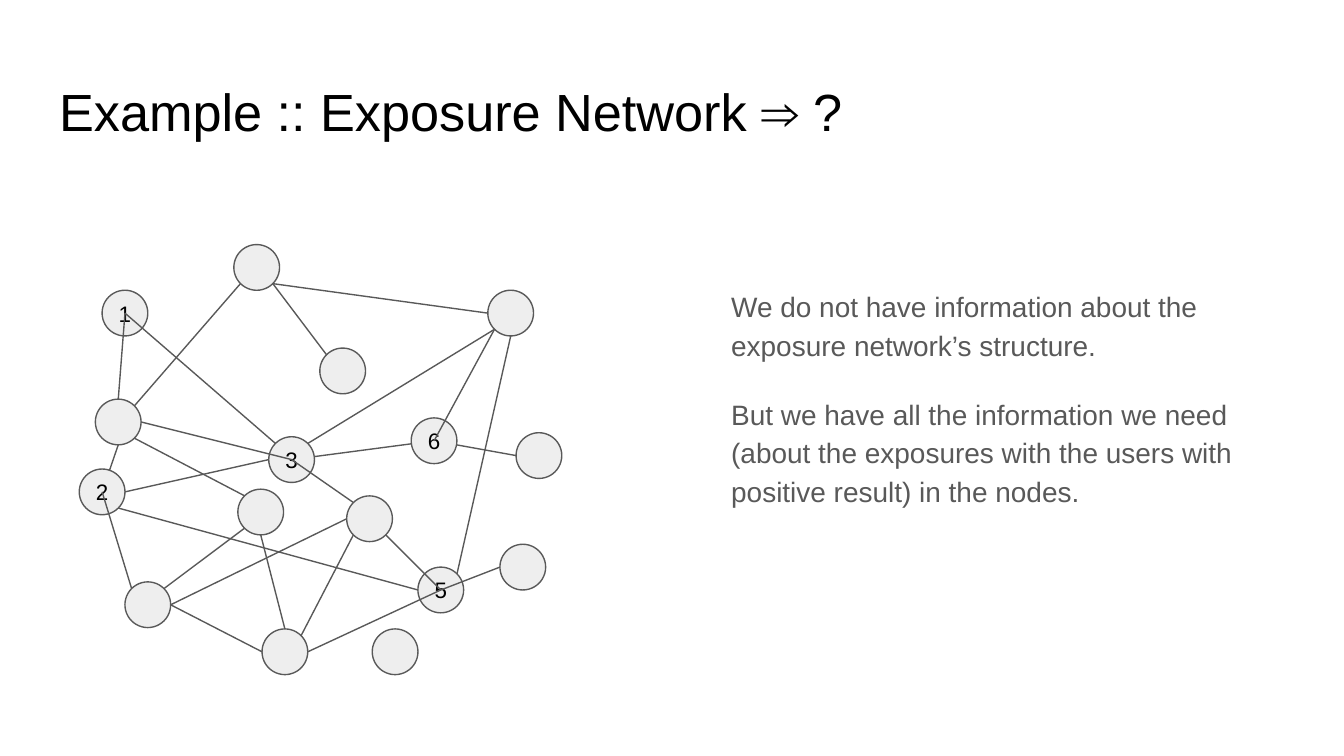
from dataclasses import dataclass
from lxml.etree import SubElement
from pptx import Presentation
from pptx.dml.color import RGBColor
from pptx.enum.shapes import MSO_CONNECTOR, MSO_SHAPE
from pptx.enum.text import MSO_ANCHOR, MSO_AUTO_SIZE, PP_ALIGN
from pptx.oxml.ns import qn
from pptx.util import Inches, Pt


@dataclass(frozen=True)
class Theme:
    font: str = "Arial"
    ink: str = "000000"
    gray: str = "595959"
    node: str = "EEEEEE"
    title: int = 28
    body: int = 15
    label: int = 12
    line: float = 0.75


TITLE = "Example :: Exposure Network ⇒ ?"
BODY = [
    "We do not have information about the exposure network’s structure.",
    "But we have all the information we need (about the exposures with the users "
    "with positive result) in the nodes.",
]
NODES = {
    "1": (0.93, 2.33), "2": (0.76, 3.66), "3": (2.17, 3.42),
    "northeast": (3.80, 2.33), "5": (3.28, 4.39), "6": (3.23, 3.28),
    "core": (2.75, 3.86), "west": (0.88, 3.14), "southwest": (1.10, 4.50),
    "upper": (2.55, 2.76), "north": (1.91, 1.99), "south": (2.12, 4.85),
    "middle": (1.94, 3.81), "southeast": (3.89, 4.22), "east": (4.01, 3.39),
    "alone": (2.94, 4.85),
}
BACK_EDGES = [
    ("west", "s", "2", "c"), ("6", "c", "3", "c"), ("east", "w", "6", "c"),
]
FRONT_EDGES = [
    ("1", "c", "3", "nw"), ("2", "e", "3", "w"), ("2", "se", "5", "w"),
    ("northeast", "s", "5", "ne"), ("northeast", "sw", "3", "ne"),
    ("north", "sw", "west", "ne"), ("north", "se", "northeast", "w"),
    ("north", "se", "upper", "nw"), ("west", "se", "middle", "nw"),
    ("southwest", "ne", "middle", "sw"), ("southwest", "nw", "2", "c"),
    ("3", "c", "core", "nw"), ("northeast", "sw", "6", "c"),
    ("southeast", "w", "5", "c"), ("middle", "s", "south", "n"),
    ("core", "sw", "south", "ne"), ("southwest", "e", "south", "w"),
    ("southwest", "e", "core", "w"), ("core", "se", "5", "c"),
    ("south", "e", "5", "c"), ("west", "e", "3", "c"), ("west", "n", "1", "c"),
]
RADIUS = 0.17
DIAGONAL = RADIUS * 0.71
SITES = {
    "c": (0, 0), "n": (0, -RADIUS), "s": (0, RADIUS), "w": (-RADIUS, 0), "e": (RADIUS, 0),
    "nw": (-DIAGONAL, -DIAGONAL), "ne": (DIAGONAL, -DIAGONAL),
    "sw": (-DIAGONAL, DIAGONAL), "se": (DIAGONAL, DIAGONAL),
}
theme = Theme()


def write(tf, paragraphs, *, size, color, align=PP_ALIGN.LEFT, anchor=MSO_ANCHOR.TOP,
          inset=0.1, spacing=1.0, gap=0):
    tf.word_wrap = True
    tf.auto_size = MSO_AUTO_SIZE.NONE
    tf.vertical_anchor = anchor
    tf.margin_left = tf.margin_right = tf.margin_top = tf.margin_bottom = Inches(inset)
    for i, text in enumerate(paragraphs):
        p = tf.paragraphs[0] if i == 0 else tf.add_paragraph()
        p.alignment = align
        p.line_spacing = spacing
        p.space_before = Pt(gap if i else 0)
        p.space_after = Pt(0)
        pPr = p._p.get_or_add_pPr()
        pPr.set("marL", "0")
        pPr.set("indent", "0")
        SubElement(pPr, qn("a:buNone"))
        r = p.add_run()
        r.text = text
        r.font.name = theme.font
        r.font.size = Pt(size)
        r.font.color.rgb = RGBColor.from_string(color)


def place(sp, left, top, width, height):
    sp.left, sp.top, sp.width, sp.height = map(Inches, (left, top, width, height))


def outline(sp):
    sp.line.color.rgb = RGBColor.from_string(theme.gray)
    sp.line.width = Pt(theme.line)


def site(node, side):
    return [Inches(a + b) for a, b in zip(NODES[node], SITES[side])]


def add_edges(shapes, edges):
    for start, start_side, end, end_side in edges:
        line = shapes.add_connector(MSO_CONNECTOR.STRAIGHT,
                                    *site(start, start_side), *site(end, end_side))
        outline(line)
        SubElement(line._element.spPr, qn("a:effectLst"))


def add_node(shapes, name):
    x, y = NODES[name]
    box = map(Inches, (x - RADIUS, y - RADIUS, 2 * RADIUS, 2 * RADIUS))
    sp = shapes.add_shape(MSO_SHAPE.OVAL, *box)
    sp.shadow.inherit = False
    sp.fill.solid()
    sp.fill.fore_color.rgb = RGBColor.from_string(theme.node)
    outline(sp)
    if name.isdigit():
        write(sp.text_frame, [name], size=theme.label, color=theme.ink,
              align=PP_ALIGN.CENTER, anchor=MSO_ANCHOR.MIDDLE, inset=0)


def main():
    prs = Presentation()
    prs.slide_width = Inches(10)
    prs.slide_height = prs.slide_width * 9 // 16
    s = prs.slides.add_slide(prs.slide_layouts[1])
    title, body = s.placeholders
    place(title, 0.34, 0.49, 9.32, 0.63)
    write(title.text_frame, [TITLE], size=theme.title, color=theme.ink)
    place(body, 5.34, 2.02, 4.27, 2.98)
    write(body.text_frame, BODY, size=theme.body, color=theme.gray, spacing=1.15, gap=16)
    network = s.shapes.add_group_shape().shapes
    add_edges(network, BACK_EDGES)
    for name in NODES:
        add_node(network, name)
    add_edges(network, FRONT_EDGES)
    prs.save("out.pptx")


if __name__ == "__main__":
    main()
